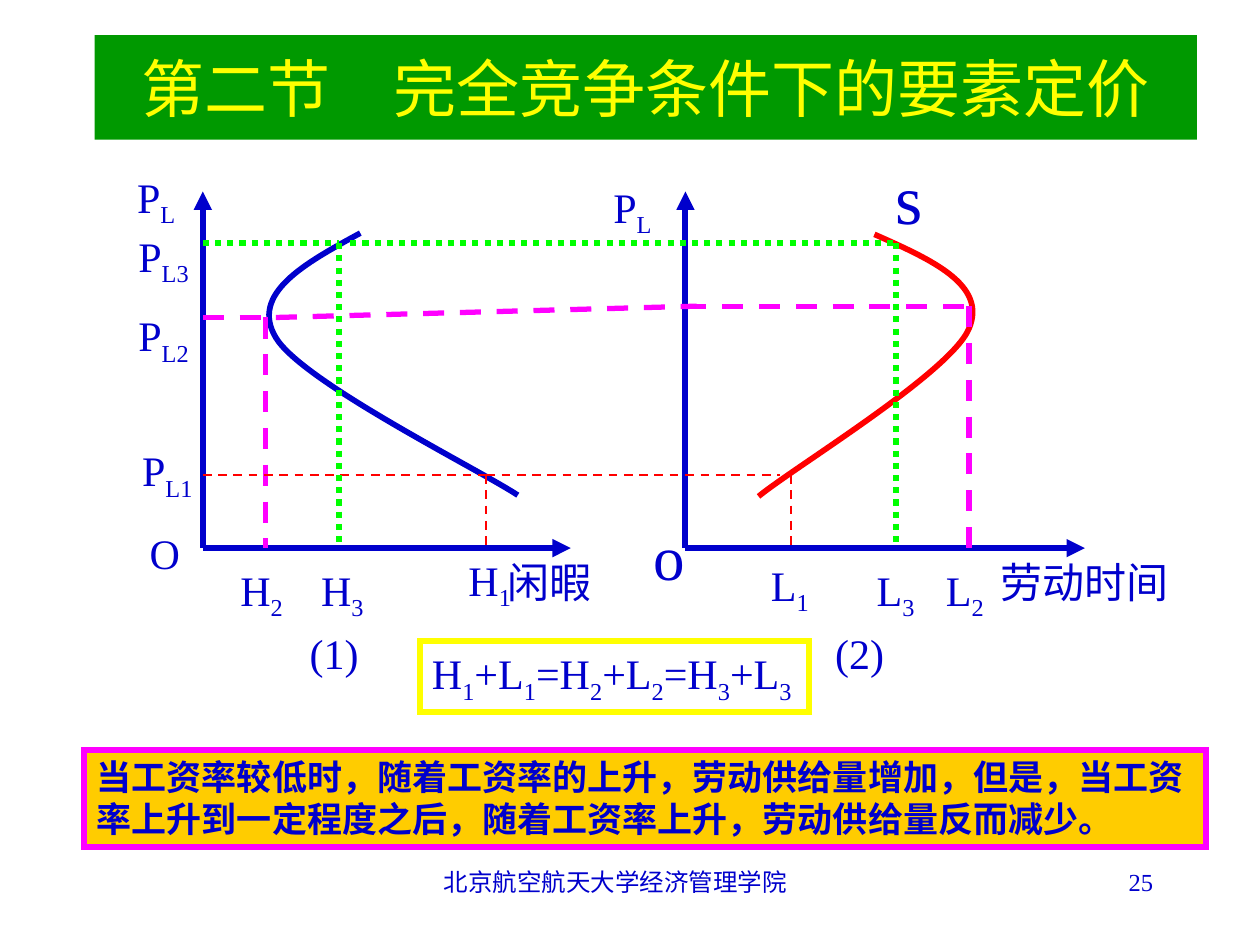
from pptx import Presentation
from pptx.dml.color import RGBColor
from pptx.enum.dml import MSO_LINE
from pptx.enum.shapes import MSO_CONNECTOR, MSO_SHAPE
from pptx.enum.text import MSO_ANCHOR, MSO_AUTO_SIZE, PP_ALIGN
from pptx.oxml.ns import qn
from pptx.oxml.xmlchemy import OxmlElement
from pptx.util import Pt

PX = 9144
BLUE, RED, PINK, LIME = "0000CC", "FF0000", "FF00FF", "00FF00"
GREEN, YELLOW, GOLD = "009900", "FFFF00", "FFCC00"
DASH, DOT = MSO_LINE.DASH, MSO_LINE.ROUND_DOT
STRAIGHT, RECT = MSO_CONNECTOR.STRAIGHT, MSO_SHAPE.RECTANGLE
LEFT, CENTER, RIGHT = PP_ALIGN.LEFT, PP_ALIGN.CENTER, PP_ALIGN.RIGHT
TOP, MIDDLE = MSO_ANCHOR.TOP, MSO_ANCHOR.MIDDLE
GROW = MSO_AUTO_SIZE.SHAPE_TO_FIT_TEXT
LEFT_X, RIGHT_X, BASE_Y = 161, 544, 435


def emu(*vals):
    return [val * PX for val in vals]


def color(code):
    return RGBColor.from_string(code)


def write(shape, text, size=24, ink=BLUE, bold=False, align=LEFT,
          anchor=TOP, wrap=False, grow=False):
    """Fill a shape with text in which every second part between bars is subscript."""
    frame = shape.text_frame
    frame.word_wrap = wrap
    frame.vertical_anchor = anchor
    if grow:
        frame.auto_size = GROW
    para = frame.paragraphs[0]
    para.alignment = align
    for num, part in enumerate(text.split("|")):
        run = para.add_run()
        run.text = part
        font = run.font
        font.name, font.size, font.bold = "Times New Roman", Pt(size), bold
        font.color.rgb = color(ink)
        if num % 2:
            run._r.get_or_add_rPr().set("baseline", "-25000")


class Board:
    def __init__(self, slide):
        self.shapes = slide.shapes

    def stroke(self, shape, ink, width):
        shape.line.color.rgb = color(ink)
        shape.line.width = Pt(width)

    def label(self, x, y, w, h, text, **style):
        write(self.shapes.add_textbox(*emu(x, y, w, h)), text, **style)

    def box(self, x, y, w, h, text, fill=None, edge=None, **style):
        shape = self.shapes.add_shape(RECT, *emu(x, y, w, h))
        shape.shadow.inherit = False
        if fill:
            shape.fill.solid()
            shape.fill.fore_color.rgb = color(fill)
        else:
            shape.fill.background()
        if edge:
            self.stroke(shape, edge, 3.5)
            join = OxmlElement("a:miter")
            join.set("lim", "800000")
            shape.line._get_or_add_ln().append(join)
        else:
            shape.line.fill.background()
        write(shape, text, **style)

    def line(self, x1, y1, x2, y2, ink, width, dash=None, arrow=False):
        link = self.shapes.add_connector(STRAIGHT, *emu(x1, y1, x2, y2))
        self.stroke(link, ink, width)
        if dash:
            link.line.dash_style = dash
        if arrow:
            tip = OxmlElement("a:tailEnd")
            tip.set("type", "triangle")
            link.line._get_or_add_ln().append(tip)
        link._element.spPr.append(OxmlElement("a:effectLst"))

    def curve(self, points, ink):
        """Draw cubic curves through a start point and triples of points."""
        start, *rest = [tuple(emu(*point)) for point in points]
        pen = self.shapes.build_freeform(*start)
        pen.add_line_segments(rest, close=False)
        shape = pen.convert_to_shape()
        shape.shadow.inherit = False
        shape.fill.background()
        self.stroke(shape, ink, 3.25)
        steps = list(shape._element.iter(qn("a:lnTo")))
        for num in range(0, len(steps), 3):
            bend = OxmlElement("a:cubicBezTo")
            steps[num].addprevious(bend)
            for step in steps[num:num + 3]:
                bend.append(step[0])
                step.getparent().remove(step)


def main():
    deck = Presentation()
    deck.slide_width, deck.slide_height = emu(1000, 750)
    board = Board(deck.slides.add_slide(deck.slide_layouts[6]))

    for x, end in ((LEFT_X, 453), (RIGHT_X, 861)):
        board.line(x, BASE_Y, x, 152, BLUE, 3.5, arrow=True)
        board.line(x, BASE_Y, end, BASE_Y, BLUE, 3.5, arrow=True)

    board.curve([(286, 185), (242, 209), (198, 233), (219, 268),
                 (240, 303), (379, 372), (411, 393)], BLUE)
    board.curve([(694, 186), (739, 206), (784, 226), (769, 261),
                 (754, 296), (630, 371), (602, 394)], RED)

    levels = (
        (PINK, 3, DASH,
         ((LEFT_X, 252, 211, 252), (RIGHT_X, 243, 769, 243), (219, 252, 553, 243)),
         ((211, 252), (769, 243))),
        (RED, 1.25, DASH,
         ((LEFT_X, 377, 386, 377), (RIGHT_X, 377, 619, 377), (386, 377, 553, 377)),
         ((386, 377), (628, 377))),
        (LIME, 3.5, DOT,
         ((LEFT_X, 193, 269, 193), (278, 193, 711, 193)),
         ((269, 193), (711, 193))),
    )
    for ink, width, dash, spans, drops in levels:
        for span in spans:
            board.line(*span, ink, width, dash)
        for x, y in drops:
            board.line(x, y, x, BASE_Y, ink, width, dash)

    labels = (
        (99, 131, 50, 56, "P|L"), (477, 139, 50, 56, "P|L"),
        (103, 348, 60, 56, "P|L1"), (100, 241, 60, 56, "P|L2"),
        (100, 178, 60, 56, "P|L3"),
        (362, 435, 54, 56, "H|1"), (181, 443, 54, 56, "H|2"),
        (245, 443, 54, 56, "H|3"),
        (602, 439, 50, 56, "L|1"), (741, 443, 50, 56, "L|2"),
        (686, 443, 50, 56, "L|3"),
        (109, 414, 44, 50, "O"), (393, 437, 90, 50, "闲暇"),
        (784, 437, 156, 50, "劳动时间"),
        (236, 493, 59, 50, "(1)"), (653, 493, 59, 50, "(2)"),
    )
    for label in labels:
        board.label(*label, grow=True)
    board.label(701, 118, 41, 77, "s", size=40, grow=True)
    board.label(509, 406, 45, 70, "o", size=36, grow=True)

    board.box(75, 28, 875, 83, "第二节　完全竞争条件下的要素定价", fill=GREEN,
              size=36, ink=YELLOW, align=CENTER, anchor=MIDDLE, wrap=True)
    board.box(333, 509, 309, 56, "H|1|+L|1|=H|2|+L|2|=H|3|+L|3", edge=YELLOW,
              grow=True)
    board.box(67, 595, 890, 77,
              "当工资率较低时，随着工资率的上升，劳动供给量增加，但是，"
              "当工资率上升到一定程度之后，随着工资率上升，劳动供给量反而减少。",
              fill=GOLD, edge=PINK, size=20, bold=True, wrap=True, grow=True)
    board.label(330, 683, 317, 50, "北京航空航天大学经济管理学院", size=14,
                align=CENTER, wrap=True)
    board.label(717, 683, 208, 50, "25", size=14, align=RIGHT, wrap=True)

    deck.save("out.pptx")


if __name__ == "__main__":
    main()
